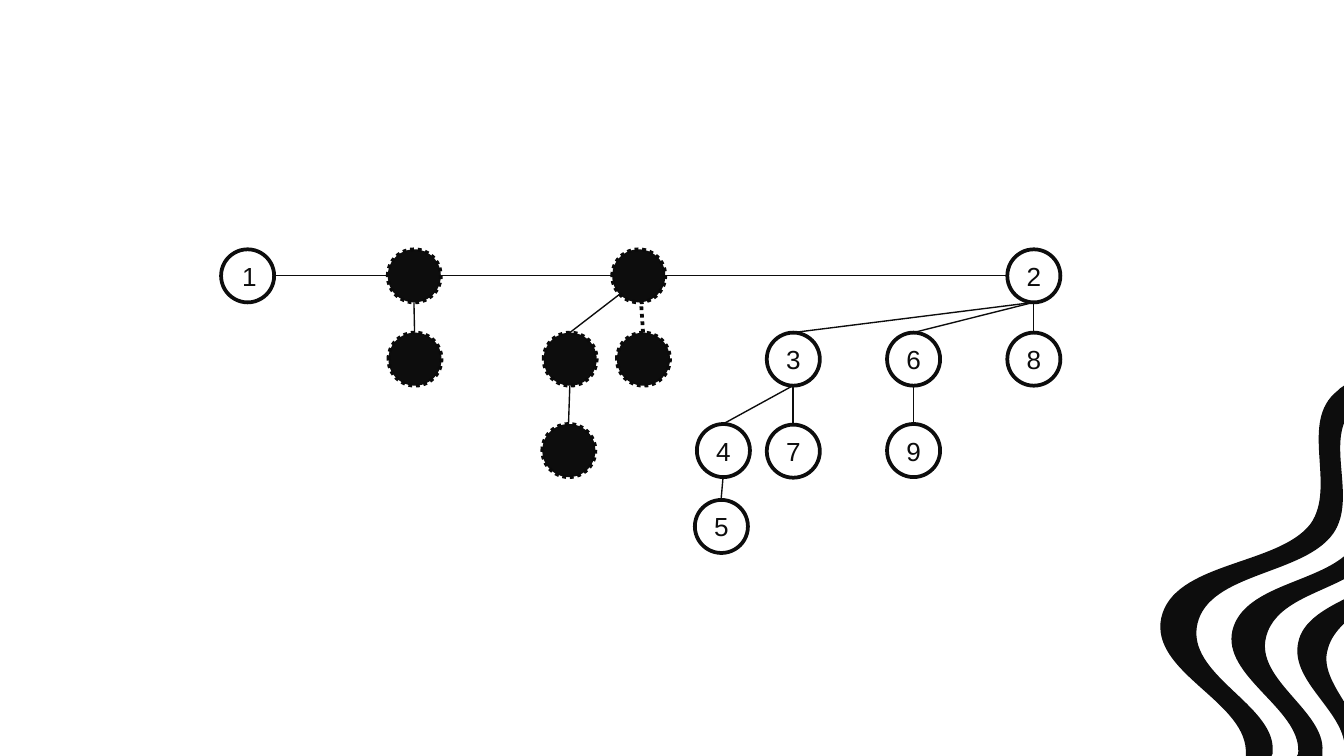
"""Build a slide with a binomial heap: marked and numbered nodes beside flowing waves."""
from lxml import etree
from pptx import Presentation
from pptx.dml.color import RGBColor
from pptx.enum.dml import MSO_LINE
from pptx.enum.shapes import MSO_CONNECTOR, MSO_SHAPE
from pptx.enum.text import MSO_ANCHOR, PP_ALIGN
from pptx.oxml.ns import qn
from pptx.util import Pt

PX = 914400 // 200
OVAL = MSO_SHAPE.OVAL
STRAIGHT = MSO_CONNECTOR.STRAIGHT
DOTTED = MSO_LINE.ROUND_DOT
MIDDLE = MSO_ANCHOR.MIDDLE
CENTER = PP_ALIGN.CENTER
INK, DOT_INK, WHITE = "0D0D0D", "0A0A0A", "FFFFFF"
DIAMETER = 79


def color(hex_string):
    return RGBColor.from_string(hex_string)


presentation = Presentation()
presentation.slide_width = 2000 * PX
presentation.slide_height = 1125 * PX
slide = presentation.slides.add_slide(presentation.slide_layouts[6])
slide.background.fill.solid()
slide.background.fill.fore_color.rgb = color(WHITE)

waves = [
    [(2000, 1102), (1990, 1052, 1920, 1010, 1932, 956), (1938, 926, 1968, 908, 2000, 892),
     (2000, 928), (1990, 938, 1980, 950, 1976, 966), (1968, 992, 1984, 1018, 2000, 1044)],
    [(1930, 1125), (1932, 1124, 1932, 1120, 1932, 1118),
     (1934, 1054, 1818, 1006, 1834, 938), (1850, 874, 1952, 868, 2000, 828),
     (2000, 862), (1954, 886, 1896, 900, 1884, 948),
     (1868, 1012, 1972, 1058, 1968, 1118), (1968, 1120, 1968, 1124, 1968, 1125)],
    [(1854, 1125), (1854, 1124, 1854, 1120, 1854, 1116),
     (1850, 1042, 1712, 1000, 1728, 920), (1746, 836, 1902, 842, 1950, 780),
     (1990, 724, 1932, 628, 1990, 582), (1992, 580, 1996, 576, 2000, 574),
     (2000, 630), (1982, 678, 2016, 748, 1984, 794), (1940, 856, 1800, 852, 1782, 928),
     (1764, 1004, 1896, 1048, 1894, 1116), (1894, 1120, 1894, 1124, 1892, 1125)],
]
for start, *segments in waves:
    points = [segment[i:i + 2] for segment in segments for i in range(0, len(segment), 2)]
    builder = slide.shapes.build_freeform(*start, scale=PX)
    builder.add_line_segments(points, close=True)
    shape = builder.convert_to_shape()
    shape.shadow.inherit = False
    shape.fill.solid()
    shape.fill.fore_color.rgb = color(INK)
    shape.line.fill.background()
    lines = iter(list(shape.element.iter(qn("a:lnTo"))))
    for segment in segments:
        first = next(lines)
        if len(segment) == 6:
            curve = etree.Element(qn("a:cubicBezTo"))
            first.addprevious(curve)
            for line in (first, next(lines), next(lines)):
                curve.append(line[0])
                line.getparent().remove(line)

ROOT_Y, CHILD_Y, GRANDCHILD_Y = 371, 495, 631
nodes = {
    "1": (329, ROOT_Y),
    "small root": (577, ROOT_Y),
    "small child": (578, CHILD_Y),
    "middle root": (911, ROOT_Y),
    "middle right": (918, CHILD_Y),
    "middle left": (809, CHILD_Y),
    "middle leaf": (807, GRANDCHILD_Y),
    "2": (1499, ROOT_Y),
    "8": (1499, CHILD_Y),
    "6": (1320, CHILD_Y),
    "9": (1320, GRANDCHILD_Y),
    "3": (1141, CHILD_Y),
    "7": (1141, 632),
    "4": (1037, GRANDCHILD_Y),
    "5": (1034, 744),
}
for name, (left, top) in nodes.items():
    numbered = name.isdigit()
    shape = slide.shapes.add_shape(OVAL, left * PX, top * PX, DIAMETER * PX, DIAMETER * PX)
    shape.shadow.inherit = False
    shape.fill.solid()
    shape.fill.fore_color.rgb = color(WHITE if numbered else INK)
    shape.line.color.rgb = color(INK if numbered else DOT_INK)
    shape.line.width = Pt(2)
    if not numbered:
        shape.line.dash_style = DOTTED
        continue
    frame = shape.text_frame
    frame.margin_left = frame.margin_right = (20 if name == "1" else 0) * PX
    frame.vertical_anchor = MIDDLE
    paragraph = frame.paragraphs[0]
    paragraph.alignment = CENTER
    run = paragraph.add_run()
    run.text = name
    run.font.size = Pt(14)
    run.font.name = "Arial"
    run.font.color.rgb = color(INK)

sites = {"top": (39, 0), "left": (0, 39), "right": (79, 39), "bottom": (39, 79),
         "bottom left": (11, 67), "near bottom": (43, 79)}
edges = [
    ("small root", "bottom", "small child", "top"),
    ("middle root", "near bottom", "middle right", "top"),
    ("middle root", "bottom left", "middle left", "top"),
    ("middle left", "bottom", "middle leaf", "top"),
    ("2", "bottom", "8", "top"),
    ("2", "bottom", "6", "top"),
    ("2", "bottom", "3", "top"),
    ("6", "bottom", "9", "top"),
    ("3", "bottom", "7", "top"),
    ("3", "bottom", "4", "top"),
    ("4", "bottom", "5", "top"),
    ("1", "right", "small root", "left"),
    ("small root", "right", "middle root", "left"),
    ("middle root", "right", "2", "left"),
]
for parent, parent_site, child, child_site in edges:
    ends = [(nodes[name][axis] + sites[site][axis]) * PX
            for name, site in ((child, child_site), (parent, parent_site)) for axis in (0, 1)]
    if child_site == "left":
        ends = ends[2:] + ends[:2]
    connector = slide.shapes.add_connector(STRAIGHT, *ends)
    etree.SubElement(connector.element.spPr, qn("a:effectLst"))
    dotted = child == "middle right"
    connector.line.color.rgb = color(DOT_INK if dotted else INK)
    connector.line.width = Pt(2 if dotted else 0.75)
    if dotted:
        connector.line.dash_style = DOTTED

presentation.save("out.pptx")
